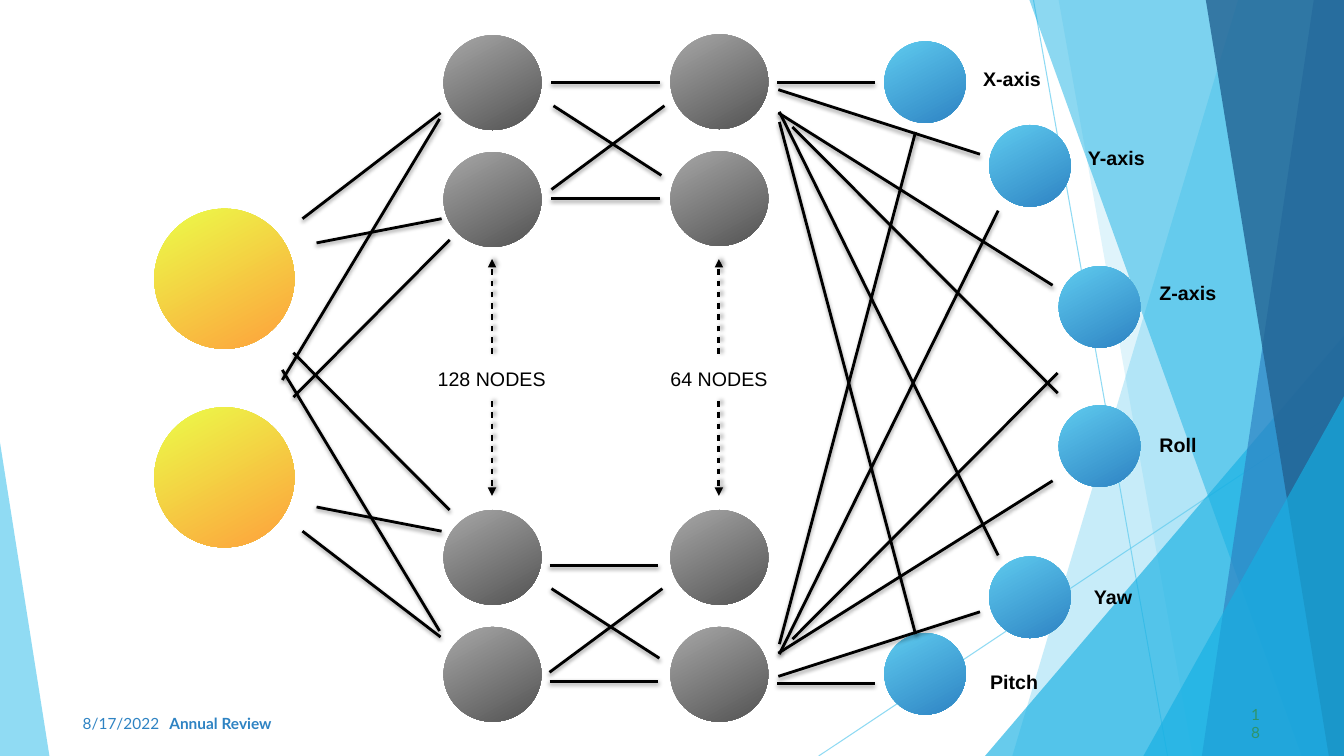
from dataclasses import dataclass

from lxml.etree import SubElement
from pptx import Presentation
from pptx.dml.color import RGBColor
from pptx.enum.shapes import MSO_CONNECTOR as Connector, MSO_SHAPE as Shape
from pptx.enum.text import MSO_ANCHOR as Anchor
from pptx.oxml.ns import qn
from pptx.util import Inches, Pt


@dataclass(frozen=True)
class Theme:
    """Colours, fonts and sizes of the slide."""
    sky: str = "5FCBEF"
    cyan: str = "16B0E3"
    blue: str = "2E83C3"
    navy: str = "226292"
    green: str = "2E946B"
    black: str = "000000"
    input_fill: tuple = ("EBFD49", "FEA03C")
    hidden_fill: tuple = ("A7A7A7", "535353")
    output_fill: tuple = ("5FCBEF", "2E83C3")
    label_font: str = "Arial"
    footer_font: str = "Lato"
    label_size: int = 14
    footer_size: int = 11
    link_width: float = 2
    thin_width: float = 0.75


THEME = Theme()

FACETS = [
    ([(12.28, 0), (13.33, 0), (13.33, 7.5), (10.04, 7.5)], THEME.sky, 35),
    ([(10.5, 0), (13.33, 0), (13.33, 7.5), (11.83, 7.5)], THEME.sky, 20),
    ([(9.77, 7.5), (13.33, 3.33), (13.33, 7.5)], THEME.cyan, 65),
    ([(10.21, 0), (13.33, 0), (13.33, 7.5), (12.91, 7.5)], THEME.cyan, 49),
    ([(13.03, 0), (13.33, 0), (13.33, 7.5), (11.92, 7.5)], THEME.blue, 69),
    ([(11.96, 0), (13.33, 0), (13.33, 7.5), (13.18, 7.5)], THEME.navy, 80),
    ([(11.34, 7.5), (13.33, 3.93), (13.33, 7.5)], THEME.cyan, 65),
    ([(0, 7.5), (0, 4.39), (0.49, 7.5)], THEME.sky, 69),
]
HIDDEN_LAYERS = [
    (4.4, (0.35, 1.51, 5.06, 6.22), "128 NODES", 4.34, 1.08),
    (6.65, (0.34, 1.5, 5.06, 6.22), "64 NODES", 6.65, 0.98),
]
OUTPUTS = [
    (8.77, 0.41, "X-axis", 9.75, 0.66, 0.59),
    (9.81, 1.24, "Y-axis", 10.79, 1.45, 0.58),
    (10.5, 2.64, "Z-axis", 11.5, 2.79, 0.58),
    (10.5, 4.02, "Roll", 11.5, 4.29, 0.38),
    (9.81, 5.52, "Yaw", 10.85, 5.8, 0.39),
    (8.77, 6.28, "Pitch", 9.82, 6.65, 0.49),
]
INPUT_LINKS = [(3, 2.17, 4.37, 1.12), (3.14, 2.41, 4.38, 2.17),
               (2.91, 3.5, 4.46, 5.06), (2.8, 3.67, 4.36, 6.26)]
HIDDEN_LINKS = [(5.47, 0.82, 6.55, 0.82), (5.47, 1.97, 6.55, 1.97),
                (5.49, 1.05, 6.56, 1.74), (5.47, 1.88, 6.59, 1.05)]
OUTPUT_LINKS = [(7.71, 0.82, 8.68, 0.82), (7.72, 0.89, 9.72, 1.53),
                (7.72, 1.12, 10.44, 2.83), (7.86, 1.26, 10.49, 3.9),
                (7.73, 1.11, 9.9, 5.51), (7.73, 1.21, 9.08, 6.29)]
INPUT_MIRROR = 7.44
OUTPUT_MIRROR = 7.6
HIDDEN_SHIFT = (-0.02, 4.79)


def rgb(value):
    """Turn a hex string into a colour."""
    return RGBColor.from_string(value)


def set_opacity(fill_parent, percent):
    """Give the solid fill inside an element an opacity."""
    color = fill_parent.find(qn("a:solidFill"))[0]
    SubElement(color, qn("a:alpha"), val=str(percent * 1000))


def add_facet(slide, points, color, opacity):
    """Draw one translucent background polygon."""
    corners = [(Inches(x), Inches(y)) for x, y in points]
    builder = slide.shapes.build_freeform(*corners[0], scale=1.0)
    builder.add_line_segments(corners[1:], close=True)
    shape = builder.convert_to_shape()
    shape.shadow.inherit = False
    shape.fill.solid()
    shape.fill.fore_color.rgb = rgb(color)
    set_opacity(shape.element.spPr, opacity)
    shape.line.fill.background()


def add_line(slide, ends, color, width):
    """Draw a straight line with an empty effect list and return both."""
    connector = slide.shapes.add_connector(
        Connector.STRAIGHT, *[Inches(value) for value in ends])
    connector.line.color.rgb = rgb(color)
    connector.line.width = Pt(width)
    effects = SubElement(connector.element.spPr, qn("a:effectLst"))
    return connector, effects


def add_thin_line(slide, ends):
    """Draw a translucent background line."""
    connector, _ = add_line(slide, ends, THEME.sky, THEME.thin_width)
    set_opacity(connector.line._get_or_add_ln(), 69)


def add_link(slide, ends, direction=90):
    """Draw a network link with a soft shadow."""
    connector, effects = add_line(slide, ends, THEME.black, THEME.link_width)
    shadow = SubElement(effects, qn("a:outerShdw"), blurRad=str(Pt(3)),
                        dist=str(Pt(1.6)), dir=str(direction * 60000), rotWithShape="0")
    color = SubElement(shadow, qn("a:srgbClr"), val=THEME.black)
    SubElement(color, qn("a:alpha"), val="38000")
    return connector


def add_dashed_arrow(slide, ends):
    """Draw a dashed link with an arrowhead at its end."""
    line = add_link(slide, ends, 327).line._get_or_add_ln()
    dashes = SubElement(line, qn("a:custDash"))
    SubElement(dashes, qn("a:ds"), d="200000", sp="200000")
    SubElement(line, qn("a:tailEnd"), type="triangle")


def add_node(slide, left, top, width, height, colors):
    """Draw a gradient circle."""
    shape = slide.shapes.add_shape(
        Shape.OVAL, Inches(left), Inches(top), Inches(width), Inches(height))
    shape.shadow.inherit = False
    shape.fill.gradient()
    shape.fill.gradient_angle = 360 - 61
    for stop, color, position in zip(shape.fill.gradient_stops, colors, (0, 1)):
        stop.color.rgb = rgb(color)
        stop.position = position
    shape.line.fill.background()


def add_text(slide, text, box, font, size, color, bold=False, inset=0, wrap=False):
    """Place one line of text."""
    frame = slide.shapes.add_textbox(*[Inches(value) for value in box]).text_frame
    frame.margin_left = frame.margin_right = Inches(inset)
    frame.margin_top = frame.margin_bottom = Inches(inset)
    frame.word_wrap = wrap
    frame.vertical_anchor = Anchor.MIDDLE if inset else Anchor.TOP
    frame.text = text
    run_font = frame.paragraphs[0].runs[0].font
    run_font.name = font
    run_font.size = Pt(size)
    run_font.bold = bold
    run_font.color.rgb = rgb(color)


def add_label(slide, text, left, top, width, bold=False):
    """Place a node label."""
    add_text(slide, text, (left, top, width, 0.22), THEME.label_font,
             THEME.label_size, THEME.black, bold)


def add_footer(slide, text, left, width, color, bold=False):
    """Place a footer item."""
    add_text(slide, text, (left, 7.04, width, 0.27), THEME.footer_font,
             THEME.footer_size, color, bold, inset=0.05, wrap=True)


def add_mirrored_links(slide, links, mirror):
    """Draw links and their reflections across a horizontal axis."""
    for x1, y1, x2, y2 in links:
        add_link(slide, (x1, y1, x2, y2))
        add_link(slide, (x1, mirror - y1, x2, mirror - y2))


def main():
    """Build the neural network slide."""
    presentation = Presentation()
    presentation.slide_width = Inches(13.33)
    presentation.slide_height = Inches(7.5)
    slide = presentation.slides.add_slide(presentation.slide_layouts[6])

    add_thin_line(slide, (10.25, 0, 11.58, 7.5))
    add_thin_line(slide, (13.33, 4.03, 8.12, 7.5))
    for points, color, opacity in FACETS:
        add_facet(slide, points, color, opacity)
    add_footer(slide, "8/17/2022", 0.77, 2.9, THEME.blue)
    add_footer(slide, "Annual Review", 1.63, 4.4, THEME.blue, bold=True)
    add_footer(slide, "18", 12.36, 0.27, THEME.green)

    for top in (4.04, 2.07):
        add_node(slide, 1.53, top, 1.39, 1.39, THEME.input_fill)
    for left, tops, text, text_left, text_width in HIDDEN_LAYERS:
        for top in tops:
            add_node(slide, left, top, 0.97, 0.94, THEME.hidden_fill)
        add_label(slide, text, text_left, 3.64, text_width)
        center = left + 0.48
        add_dashed_arrow(slide, (center, 3.51, center, 2.57))
        add_dashed_arrow(slide, (center, 3.98, center, 4.92))
    for left, top, *_ in OUTPUTS:
        add_node(slide, left, top, 0.81, 0.81, THEME.output_fill)

    add_mirrored_links(slide, INPUT_LINKS, INPUT_MIRROR)
    shift_x, shift_y = HIDDEN_SHIFT
    for x1, y1, x2, y2 in HIDDEN_LINKS:
        add_link(slide, (x1, y1, x2, y2))
        add_link(slide, (x1 + shift_x, y1 + shift_y, x2 + shift_x, y2 + shift_y))
    add_mirrored_links(slide, OUTPUT_LINKS, OUTPUT_MIRROR)
    for _, _, text, left, top, width in OUTPUTS:
        add_label(slide, text, left, top, width, bold=True)

    presentation.save("out.pptx")


if __name__ == "__main__":
    main()
